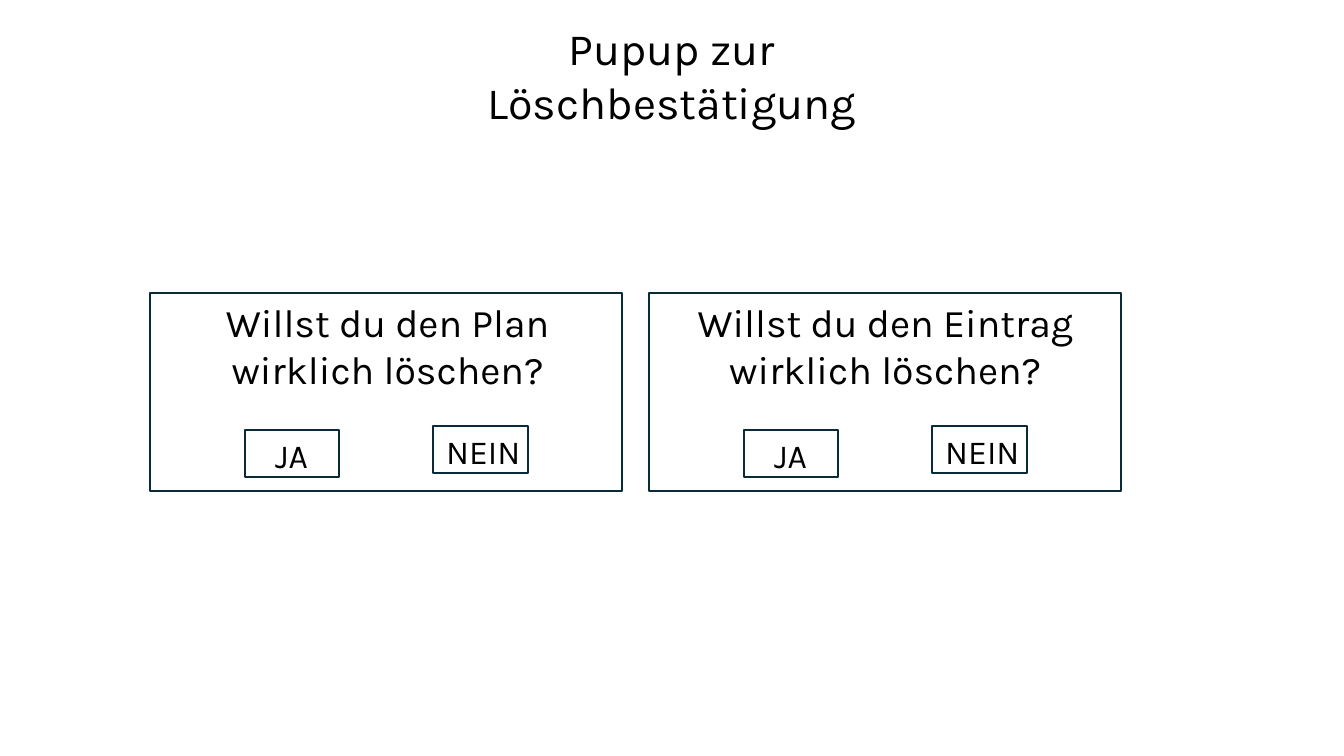
from pptx import Presentation
from pptx import util as u
from pptx.dml.color import RGBColor
from pptx.enum import shapes, text

WIDE, HIGH = 13.33, 7.5
HUES = {"line": "092A39", "ink": "000000", "page": "FFFFFF"}
POPUPS = [(1.49, "Willst du den Plan wirklich löschen?", 0.12, 4.47),
          (6.44, "Willst du den Eintrag wirklich löschen?", 0, 4.68)]
BUTTONS = [("JA", 0.2, 1.36, 0.03, 0.87), ("NEIN", 0.6, 1.32, 0, 0.99)]


def hue(name):
    """Return the named colour."""
    return RGBColor.from_string(HUES[name])


def frame(slide, *box):
    """Draw an outlined rectangle without fill."""
    rect = slide.shapes.add_shape(shapes.MSO_SHAPE.RECTANGLE, *map(u.Inches, box))
    rect.shadow.inherit = False
    rect.fill.background()
    rect.line.color.rgb = hue("line")
    rect.line.width = u.Pt(1.5)


def label(slide, words, size, *box):
    """Write centred, wrapping text in a box."""
    body = slide.shapes.add_textbox(*map(u.Inches, box)).text_frame
    body.word_wrap = True
    body.auto_size = text.MSO_AUTO_SIZE.SHAPE_TO_FIT_TEXT
    para = body.paragraphs[0]
    para.alignment = text.PP_ALIGN.CENTER
    run = para.add_run()
    run.text = words
    run.font.name = "Karla"
    run.font.size = u.Pt(size)
    run.font.color.rgb = hue("ink")


def header(slide, left, top, wide, high):
    """Place the slide title."""
    label(slide, "Pupup zur Löschbestätigung", 32, left, top, wide, high)


def popup(slide, ask, inset, span, left, top, wide, high):
    """Place a dialog with its question and two buttons."""
    frame(slide, left, top, wide, high)
    label(slide, ask, 28, left + inset, top, span, 1.04)
    for words, share, drop, shift, room in BUTTONS:
        x, y = left + share * wide, top + drop
        frame(slide, x, y, wide / 5, 0.46)
        label(slide, words, 24, x + shift, y, room, 0.5)


def main():
    """Build and save the slide."""
    deck = Presentation()
    deck.slide_width, deck.slide_height = u.Inches(WIDE), u.Inches(HIGH)
    slide = deck.slides.add_slide(deck.slide_layouts[6])
    slide.background.fill.solid()
    slide.background.fill.fore_color.rgb = hue("page")
    header(slide, (WIDE - 6) / 2, 0.16, 6, 0.64)
    for left, ask, inset, span in POPUPS:
        popup(slide, ask, inset, span, left, 2.91, 4.68, 1.96)
    deck.save("out.pptx")


if __name__ == "__main__":
    main()
